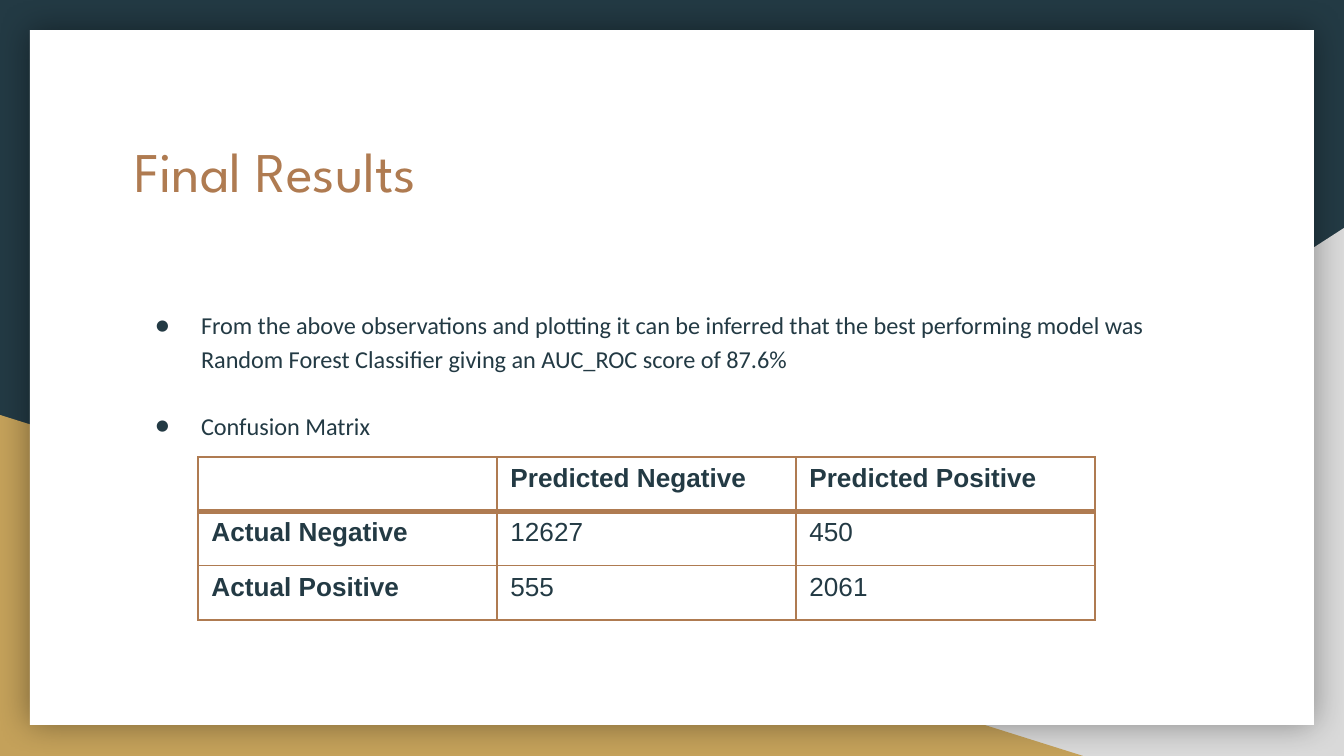
from dataclasses import dataclass

from lxml.etree import SubElement
from pptx import Presentation
from pptx.dml.color import RGBColor
from pptx.enum.shapes import MSO_SHAPE as Shape
from pptx.enum.text import MSO_ANCHOR as Anchor, PP_ALIGN as Align
from pptx.oxml.ns import qn
from pptx.util import Pt

PX = 914400 / 134.4


@dataclass(frozen=True)
class Theme:
    navy: str = "233A44"
    gold: str = "C4A15A"
    grey: str = "D9D9D9"
    white: str = "FFFFFF"
    copper: str = "AF7B51"
    title_font: str = "League Spartan"
    body_font: str = "Calibri"
    table_font: str = "Arial"
    title_size: int = 30
    body_size: int = 13
    table_size: int = 14


def px(*lengths):
    return [round(length * PX) for length in lengths]


def style(paragraph, name, size, color, bold=False):
    paragraph.alignment = Align.LEFT
    font = paragraph.font
    font.name, font.size, font.bold = name, Pt(size), bold
    font.color.rgb = RGBColor.from_string(color)


theme = Theme()
presentation = Presentation()
presentation.slide_width, presentation.slide_height = px(1344, 756)
slide = presentation.slides.add_slide(presentation.slide_layouts[1])
slide.background.fill.solid()
slide.background.fill.fore_color.rgb = RGBColor.from_string(theme.navy)
title, body = slide.placeholders

backdrop = [
    (Shape.RIGHT_TRIANGLE, (527, 228, 817, 528), theme.grey),
    (Shape.RIGHT_TRIANGLE, (0, 415, 1083, 341), theme.gold),
    (Shape.RECTANGLE, (30, 30, 1284, 695), theme.white),
]
panels = []
for kind, box, color in backdrop:
    shape = slide.shapes.add_shape(kind, *px(*box))
    shape.shadow.inherit = False
    shape.fill.solid()
    shape.fill.fore_color.rgb = RGBColor.from_string(color)
    shape.line.fill.background()
    title._element.addprevious(shape._element)
    panels.append(shape)
grey_corner, gold_corner, card = panels
grey_corner._element.spPr.find(qn("a:xfrm")).set("flipH", "1")
effects = card._element.spPr.find(qn("a:effectLst"))
shadow = SubElement(effects, qn("a:outerShdw"), blurRad=str(Pt(18)), dist="0", dir="0", algn="ctr", rotWithShape="0")
shadow_color = SubElement(shadow, qn("a:srgbClr"), val="000000")
SubElement(shadow_color, qn("a:alpha"), val="40000")

for placeholder, box in [(title, (121, 124, 1103, 139)), (body, (121, 293, 1103, 360))]:
    placeholder.left, placeholder.top, placeholder.width, placeholder.height = px(*box)
    frame = placeholder.text_frame
    frame.word_wrap = True
    frame.vertical_anchor = Anchor.TOP
    frame.margin_left = frame.margin_right = frame.margin_top = frame.margin_bottom = px(13)[0]

title.text_frame.text = "Final Results"
style(title.text_frame.paragraphs[0], theme.title_font, theme.title_size, theme.copper)

body.text_frame.text = (
    "From the above observations and plotting it can be inferred that the best performing model was "
    "Random Forest Classifier giving an AUC_ROC score of 87.6%\n"
    "Confusion Matrix"
)
for index, paragraph in enumerate(body.text_frame.paragraphs):
    style(paragraph, theme.body_font, theme.body_size, theme.navy)
    paragraph.line_spacing = 1.15
    paragraph.space_before = Pt(18 * index)
    paragraph.space_after = Pt(0)
    properties = paragraph._p.get_or_add_pPr()
    indent, hanging = px(67, -46)
    properties.set("marL", str(indent))
    properties.set("indent", str(hanging))
    bullet_color = SubElement(properties, qn("a:buClr"))
    SubElement(bullet_color, qn("a:srgbClr"), val=theme.navy)
    SubElement(properties, qn("a:buFont"), typeface=theme.body_font)
    SubElement(properties, qn("a:buChar"), char="●")

matrix = [
    ["", "Predicted Negative", "Predicted Positive"],
    ["Actual Negative", "12627", "450"],
    ["Actual Positive", "555", "2061"],
]
table = slide.shapes.add_table(3, 3, *px(198, 457, 897, 163)).table
table.first_row = table.horz_banding = False
for row, values in enumerate(matrix):
    for column, value in enumerate(values):
        cell = table.cell(row, column)
        cell.text = value
        is_header = row == 0 or column == 0
        style(cell.text_frame.paragraphs[0], theme.table_font, theme.table_size, theme.navy, is_header)
        borders = {
            "a:lnL": 1,
            "a:lnR": 1,
            "a:lnT": 3 if row == 1 else 1,
            "a:lnB": 3 if row == 0 else 1,
        }
        for side, width in borders.items():
            border = SubElement(cell._tc.get_or_add_tcPr(), qn(side), w=str(Pt(width)))
            border_fill = SubElement(border, qn("a:solidFill"))
            SubElement(border_fill, qn("a:srgbClr"), val=theme.copper)
        cell.fill.solid()
        cell.fill.fore_color.rgb = RGBColor.from_string(theme.white)

presentation.save("out.pptx")
